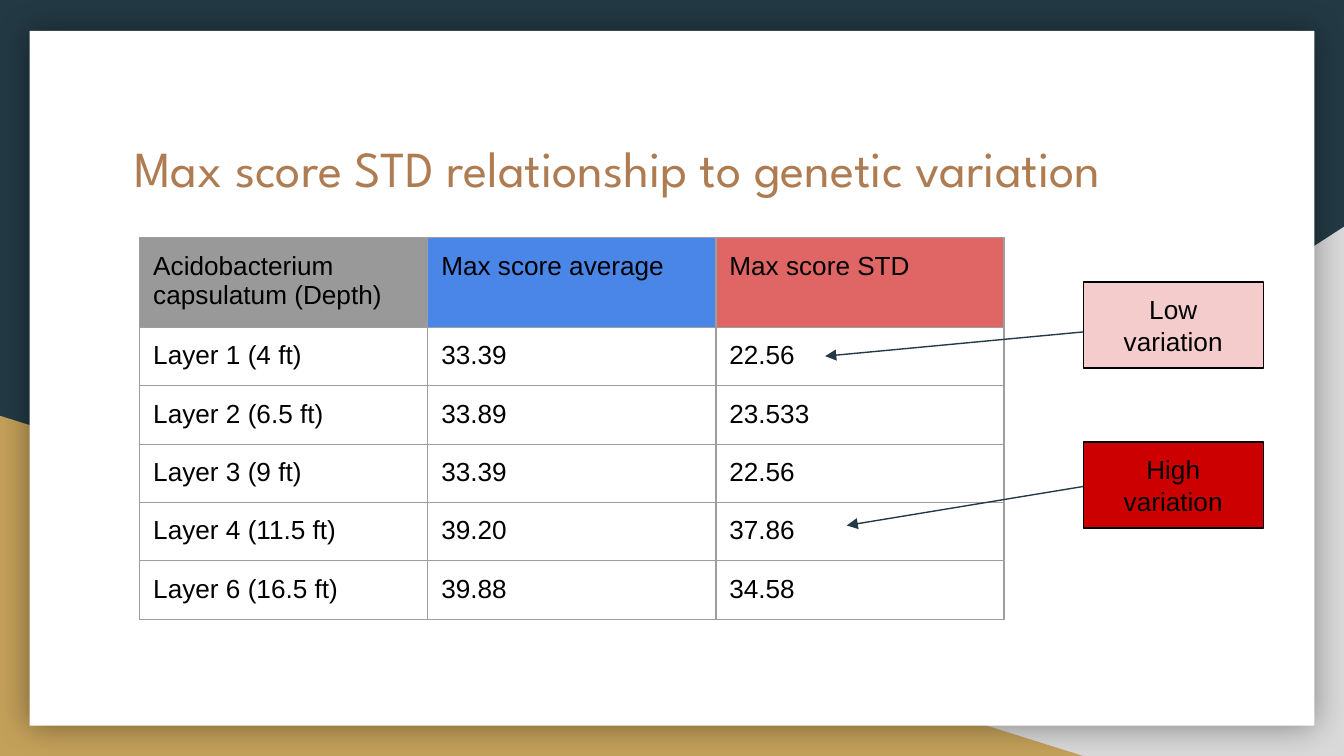
from typing import NamedTuple

import pptx
import pptx.dml.color
import pptx.enum.shapes
import pptx.enum.text
import pptx.oxml
import pptx.oxml.ns
import pptx.util
from lxml import etree

WIDTH = 10
HEIGHT = WIDTH * 9 / 16
INK, BLACK, GRID = "233A44", "000000", "9E9E9E"
TABLE_LEFT, TABLE_TOP, TABLE_WIDTH, ROW, HEADER_ROW = 1.04, 1.77, 6.43, 0.42, 0.63
CALLOUT_LEFT, CALLOUT_WIDTH, CALLOUT_HEIGHT = 8.06, 1.34, 0.64
INSET = 0.1
SHAPE = pptx.enum.shapes.MSO_SHAPE
ANCHOR = pptx.enum.text.MSO_ANCHOR


class Box(NamedTuple):
    left: float
    top: float
    width: float
    height: float


class Header(NamedTuple):
    text: str
    fill: str


class Callout(NamedTuple):
    text: str
    top: float
    fill: str
    start_y: float
    tip_x: float
    tip_y: float


HEADERS = [
    Header("Acidobacterium capsulatum (Depth)", "999999"),
    Header("Max score average", "4A86E8"),
    Header("Max score STD", "E06666"),
]
LAYERS = [
    ("Layer 1 (4 ft)", "33.39", "22.56"),
    ("Layer 2 (6.5 ft)", "33.89", "23.533"),
    ("Layer 3 (9 ft)", "33.39", "22.56"),
    ("Layer 4 (11.5 ft)", "39.20", "37.86"),
    ("Layer 6 (16.5 ft)", "39.88", "34.58"),
]
CALLOUTS = [
    Callout("Low variation", 2.1, "F4CCCC", 2.47, 6.14, 2.65),
    Callout("High variation", 3.29, "CC0000", 3.62, 6.3, 3.91),
]


def inches(values) -> list:
    return [pptx.util.Inches(v) for v in values]


def paint(fmt, color: str) -> None:
    fmt.solid()
    fmt.fore_color.rgb = pptx.dml.color.RGBColor.from_string(color)


def add_xml(parent, tag: str, **attributes: str):
    return etree.SubElement(parent, pptx.oxml.ns.qn(tag), attributes)


def write(tf, text: str, size: float = 14, font: str = "Arial", color: str = BLACK) -> None:
    tf.word_wrap = True
    tf.text = text
    p = tf.paragraphs[0]
    p.line_spacing = 1.0
    p.font.size = pptx.util.Pt(size)
    p.font.name = font
    paint(p.font.fill, color)


def set_insets(target) -> None:
    for side in ("left", "top", "right", "bottom"):
        setattr(target, f"margin_{side}", pptx.util.Inches(INSET))


def add_block(s, kind, box: Box, fill: str, line: str | None = None):
    sp = s.shapes.add_shape(kind, *inches(box))
    sp.shadow.inherit = False
    paint(sp.fill, fill)
    if line:
        paint(sp.line.fill, line)
        sp.line.width = pptx.util.Pt(0.75)
    else:
        sp.line.fill.background()
    return sp


def add_background(s) -> None:
    paint(s.background.fill, INK)
    width, height = 0.608 * WIDTH, 0.7 * HEIGHT
    gray = add_block(s, SHAPE.RIGHT_TRIANGLE,
                     Box(WIDTH - width, HEIGHT - height, width, height), "D9D9D9")
    gray._element.spPr.find(pptx.oxml.ns.qn("a:xfrm")).set("flipH", "1")
    height = 0.45 * HEIGHT
    add_block(s, SHAPE.RIGHT_TRIANGLE,
              Box(0, HEIGHT - height, 0.806 * WIDTH, height), "C4A15A")
    page = add_block(s, SHAPE.RECTANGLE, Box(0.22, 0.23, 9.56, 5.17), "FFFFFF")
    effects = page._element.spPr.find(pptx.oxml.ns.qn("a:effectLst"))
    shadow = add_xml(effects, "a:outerShdw", blurRad=str(pptx.util.Pt(18)),
                     dist="0", dir="0", algn="ctr", rotWithShape="0")
    add_xml(add_xml(shadow, "a:srgbClr", val=BLACK), "a:alpha", val="40000")


def add_title(s, text: str) -> None:
    tf = s.shapes.add_textbox(*inches(Box(0.9, 0.92, 8.21, 1.04))).text_frame
    set_insets(tf)
    tf.vertical_anchor = ANCHOR.TOP
    write(tf, text, 27, "League Spartan", "AF7B51")


def fill_cell(cell, text: str, fill: str | None = None) -> None:
    set_insets(cell)
    cell.vertical_anchor = ANCHOR.TOP
    write(cell.text_frame, text)
    props = cell._tc.get_or_add_tcPr()
    for side in ("L", "R", "T", "B"):
        border = add_xml(props, f"a:ln{side}", w=str(pptx.util.Pt(0.75)))
        add_xml(add_xml(border, "a:solidFill"), "a:srgbClr", val=GRID)
    if fill:
        paint(cell.fill, fill)
    else:
        cell.fill.background()


def add_score_table(s) -> None:
    rows, columns = len(LAYERS) + 1, len(HEADERS)
    box = Box(TABLE_LEFT, TABLE_TOP, TABLE_WIDTH, HEADER_ROW + len(LAYERS) * ROW)
    table = s.shapes.add_table(rows, columns, *inches(box)).table
    table.first_row = table.horz_banding = False
    for i, row in enumerate(table.rows):
        row.height = pptx.util.Inches(ROW if i else HEADER_ROW)
    for j, header in enumerate(HEADERS):
        fill_cell(table.cell(0, j), header.text, header.fill)
    for i, layer in enumerate(LAYERS, 1):
        for j, text in enumerate(layer):
            fill_cell(table.cell(i, j), text)


def add_arrow(s, callout: Callout) -> None:
    ends = (CALLOUT_LEFT, callout.start_y, callout.tip_x, callout.tip_y)
    arrow = s.shapes.add_connector(pptx.enum.shapes.MSO_CONNECTOR.STRAIGHT, *inches(ends))
    paint(arrow.line.fill, INK)
    arrow.line.width = pptx.util.Pt(0.75)
    add_xml(arrow.line._get_or_add_ln(), "a:tailEnd", type="triangle", w="med", len="med")
    add_xml(arrow._element.spPr, "a:effectLst")


def add_callout(s, callout: Callout) -> None:
    box = Box(CALLOUT_LEFT, callout.top, CALLOUT_WIDTH, CALLOUT_HEIGHT)
    tf = add_block(s, SHAPE.RECTANGLE, box, callout.fill, BLACK).text_frame
    set_insets(tf)
    tf.vertical_anchor = ANCHOR.MIDDLE
    write(tf, callout.text)
    tf.paragraphs[0].alignment = pptx.enum.text.PP_ALIGN.CENTER


def main() -> None:
    prs = pptx.Presentation()
    prs.slide_width, prs.slide_height = inches((WIDTH, HEIGHT))
    s = prs.slides.add_slide(prs.slide_layouts[6])
    add_background(s)
    add_title(s, "Max score STD relationship to genetic variation")
    add_score_table(s)
    for callout in CALLOUTS:
        add_arrow(s, callout)
    for callout in CALLOUTS:
        add_callout(s, callout)
    prs.save("out.pptx")


if __name__ == "__main__":
    main()
